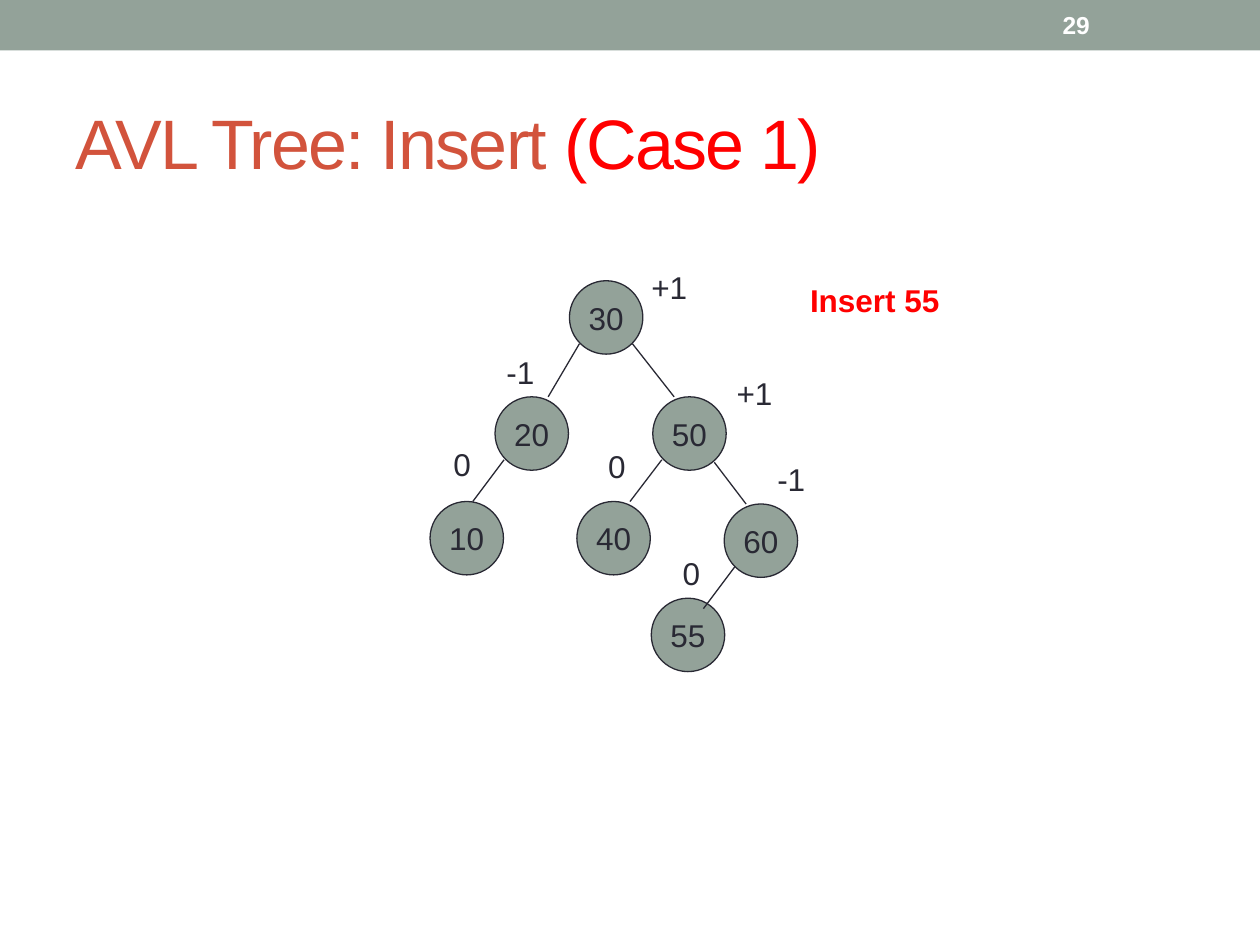
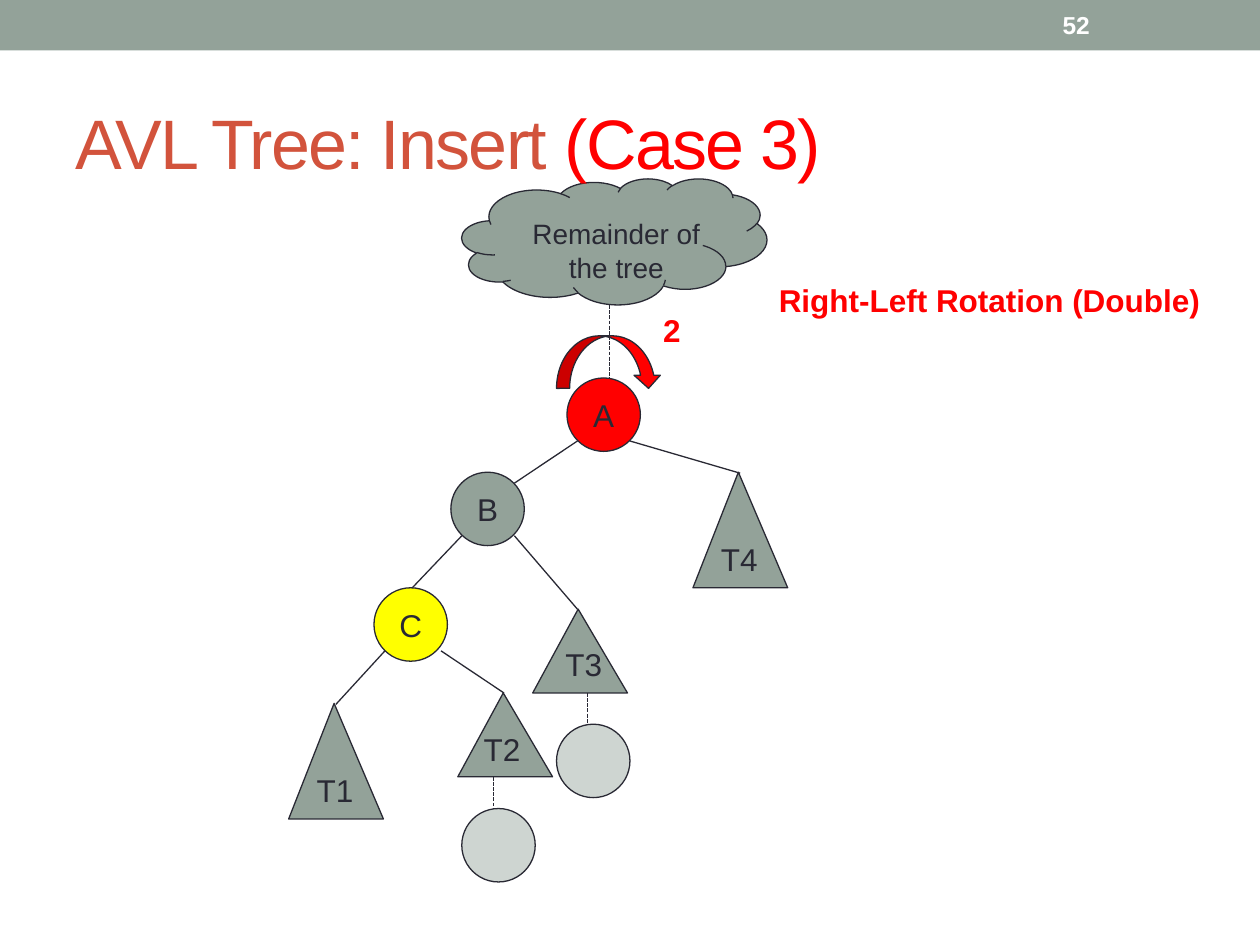
from dataclasses import dataclass

from lxml import etree
from pptx import Presentation
from pptx.dml.color import RGBColor
from pptx.enum import dml, shapes, text
from pptx.oxml import ns
from pptx.util import Cm, Pt

# Shared look
FONT = "Arial"
SAGE, INK, RUST = "93A299", "292934", "D2533C"
RED, YELLOW, WHITE = "FF0000", "FFFF00", "FFFFFF"
NODE_SIZE = 1.48
TRIANGLE_WIDTH = 1.91
TALL, SHORT = 2.33, 1.69
LABEL_HEIGHT = 1.09
FACTOR_WIDTHS = {"+1": 1.27, "-1": 1.09, "0": 0.86}
Kind = shapes.MSO_SHAPE


@dataclass
class Node:
    name: str
    left: float
    top: float
    fill: str = SAGE
    opacity: int = 100


@dataclass
class Edge:
    x1: float
    y1: float
    x2: float
    y2: float
    dashed: bool = False


@dataclass
class Label:
    words: str
    left: float
    top: float
    width: float
    height: float = LABEL_HEIGHT
    color: str = INK
    bold: bool = False
    size: int = 18
    wrap: bool = False
    align: text.PP_ALIGN = text.PP_ALIGN.LEFT


@dataclass
class Subtree:
    name: str
    left: float
    top: float
    height: float


def rgb(value: str) -> RGBColor:
    return RGBColor.from_string(value)


def style_run(run, size: float, color: str, bold: bool = False) -> None:
    run.font.name = FONT
    run.font.size = Pt(size)
    run.font.bold = bold
    run.font.color.rgb = rgb(color)


def style_frame(frame, size: float, color: str, bold: bool, align) -> None:
    for para in frame.paragraphs:
        para.alignment = align
        for run in para.runs:
            style_run(run, size, color, bold)


def draw_shape(page, kind, left: float, top: float, width: float, height: float,
               fill: str = SAGE, outlined: bool = True, words: str = ""):
    shape = page.shapes.add_shape(kind, Cm(left), Cm(top), Cm(width), Cm(height))
    shape.shadow.inherit = False
    shape.fill.solid()
    shape.fill.fore_color.rgb = rgb(fill)
    if outlined:
        shape.line.color.rgb = rgb(INK)
        shape.line.width = Pt(0.75)
    else:
        shape.line.fill.background()
    if words:
        frame = shape.text_frame
        frame.text = words
        frame.word_wrap = False
        frame.vertical_anchor = text.MSO_ANCHOR.MIDDLE
        style_frame(frame, 18, INK, False, text.PP_ALIGN.CENTER)
    return shape


def draw_node(page, node: Node) -> None:
    shape = draw_shape(page, Kind.OVAL, node.left, node.top, NODE_SIZE, NODE_SIZE,
                       node.fill, words=node.name)
    if node.opacity < 100:
        color = shape.fill._xPr.find(".//" + ns.qn("a:srgbClr"))
        etree.SubElement(color, ns.qn("a:alpha"), val=str(node.opacity * 1000))


def draw_subtree(page, tree: Subtree) -> None:
    # Short triangles are labelled by a separate text box
    words = tree.name if tree.height == TALL else ""
    shape = draw_shape(page, Kind.ISOSCELES_TRIANGLE, tree.left, tree.top,
                       TRIANGLE_WIDTH, tree.height, words=words)
    shape.adjustments[0] = 0.48


def draw_edge(page, edge: Edge) -> None:
    line = page.shapes.add_connector(shapes.MSO_CONNECTOR.STRAIGHT, Cm(edge.x1),
                                     Cm(edge.y1), Cm(edge.x2), Cm(edge.y2))
    line.line.color.rgb = rgb(INK)
    line.line.width = Pt(0.75)
    if edge.dashed:
        line.line.dash_style = dml.MSO_LINE.SQUARE_DOT
    etree.SubElement(line._element.spPr, ns.qn("a:effectLst"))


def draw_label(page, label: Label):
    box = page.shapes.add_textbox(Cm(label.left), Cm(label.top),
                                  Cm(label.width), Cm(label.height))
    frame = box.text_frame
    frame.text = label.words
    frame.word_wrap = label.wrap
    frame.auto_size = text.MSO_AUTO_SIZE.SHAPE_TO_FIT_TEXT
    style_frame(frame, label.size, label.color, label.bold, label.align)
    return box


def add_page(deck):
    page = deck.slides.add_slide(deck.slide_layouts[5])
    draw_shape(page, Kind.RECTANGLE, 0, 0, 25.4, 1.02, outlined=False)
    return page


def draw_heading(page, case: str, number: str) -> None:
    title = page.shapes.title
    title.left, title.top, title.width, title.height = (
        Cm(1.27), Cm(1.48), Cm(22.86), Cm(2.75))
    frame = title.text_frame
    frame.auto_size = text.MSO_AUTO_SIZE.NONE
    frame.vertical_anchor = text.MSO_ANCHOR.MIDDLE
    para = frame.paragraphs[0]
    para.alignment = text.PP_ALIGN.LEFT
    for words, color in (("AVL Tree: Insert ", RUST), (case, RED)):
        span = para.add_run()
        span.text = words
        style_run(span, 40, color)
        span._r.get_or_add_rPr().set("spc", "-100")
    page.shapes._spTree.append(title._element)  # in front of what is drawn so far

    box = draw_label(page, Label(number, 21.17, 0.05, 2.96, 0.91, WHITE, True, 14, True))
    box.text_frame.auto_size = text.MSO_AUTO_SIZE.NONE
    box.text_frame.vertical_anchor = text.MSO_ANCHOR.MIDDLE


def build_insert_page(deck) -> None:
    page = add_page(deck)
    draw_heading(page, "(Case 1)", "29")
    draw_label(page, Label("Insert 55", 16.08, 5.54, 3.3, 1.02, RED, True))

    # Tree nodes and edges
    for node in (
        Node("30", 11.48, 5.66),
        Node("50", 13.16, 8), Node("20", 9.98, 8),
        Node("60", 14.6, 10.16), Node("40", 11.63, 10.11), Node("10", 8.67, 10.11),
        Node("55", 13.13, 12.06),
    ):
        draw_node(page, node)
    for edge in (
        Edge(11.68, 6.93, 11.05, 8), Edge(12.75, 6.93, 13.59, 8),
        Edge(14.4, 9.32, 15.04, 10.16), Edge(10.16, 9.27, 9.53, 10.11),
        Edge(13.34, 9.27, 12.7, 10.11), Edge(14.81, 11.43, 14.18, 12.27),
    ):
        draw_edge(page, edge)

    # Balance factors
    for factor, left, top in (
        ("+1", 12.88, 5.28), ("+1", 14.6, 7.42), ("-1", 9.96, 6.99),
        ("-1", 15.42, 9.14), ("0", 8.89, 8.84), ("0", 12.01, 8.89),
        ("0", 13.51, 11.05),
    ):
        draw_label(page, Label(factor, left, top, FACTOR_WIDTHS[factor]))


def build_rotation_page(deck) -> None:
    page = add_page(deck)
    draw_shape(page, Kind.CLOUD, 9.31, 3.6, 6.15, 2.54)
    draw_heading(page, "(Case 3)", "52")
    draw_label(page, Label("Remainder of\nthe tree", 10.24, 4.24, 4.37, 1.63,
                           size=16, wrap=True, align=text.PP_ALIGN.CENTER))

    # Nodes, with faint ones for the possible new leaves
    for node in (
        Node("B", 9.09, 9.52), Node("A", 11.43, 7.62, RED), Node("C", 7.54, 11.85, YELLOW),
        Node("", 9.31, 16.3, opacity=45), Node("", 11.22, 14.6, opacity=45),
    ):
        draw_node(page, node)

    # Subtrees
    for tree in (
        Subtree("T4", 13.97, 9.52, TALL), Subtree("T1", 5.82, 14.18, TALL),
        Subtree("T3", 10.74, 12.28, SHORT), Subtree("T2", 9.23, 13.97, SHORT),
    ):
        draw_subtree(page, tree)

    # Edges
    for edge in (
        Edge(9.95, 15.66, 9.95, 16.3, True), Edge(12.28, 6.15, 12.28, 7.62, True),
        Edge(11.85, 13.97, 11.85, 14.6, True),
        Edge(11.64, 8.89, 10.37, 9.74), Edge(12.7, 8.89, 14.92, 9.54),
        Edge(9.31, 10.8, 8.31, 11.85), Edge(10.37, 10.8, 11.64, 12.28),
        Edge(8.89, 13.12, 10.16, 13.97), Edge(7.76, 13.12, 6.77, 14.2),
    ):
        draw_edge(page, edge)

    # Rotation arrow and labels
    draw_shape(page, Kind.CURVED_DOWN_ARROW, 11.22, 6.77, 2.12, 1.06, RED)
    for label in (
        Label("Right-Left Rotation (Double)", 15.45, 5.54, 9.35, 1.02, RED, True),
        Label("2", 13.12, 6.15, 0.91, 1.02, RED, True, wrap=True),
        Label("T2", 9.5, 14.6, 1.3),
        Label("T3", 11.15, 12.88, 1.3),
    ):
        draw_label(page, label)


def main() -> None:
    deck = Presentation()
    deck.slide_width, deck.slide_height = Cm(25.4), Cm(19.05)
    build_insert_page(deck)
    build_rotation_page(deck)
    deck.save("out.pptx")


if __name__ == "__main__":
    main()
